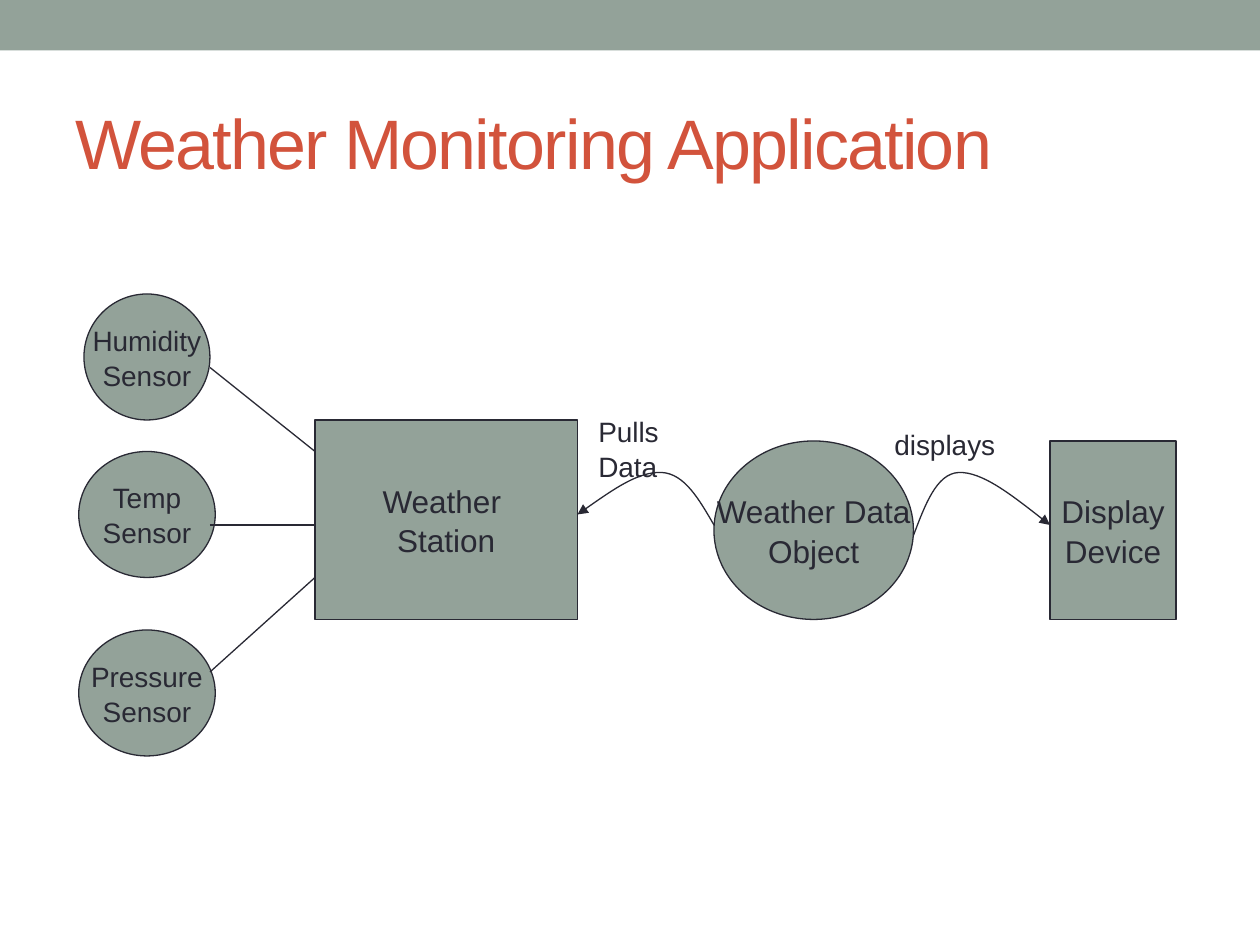
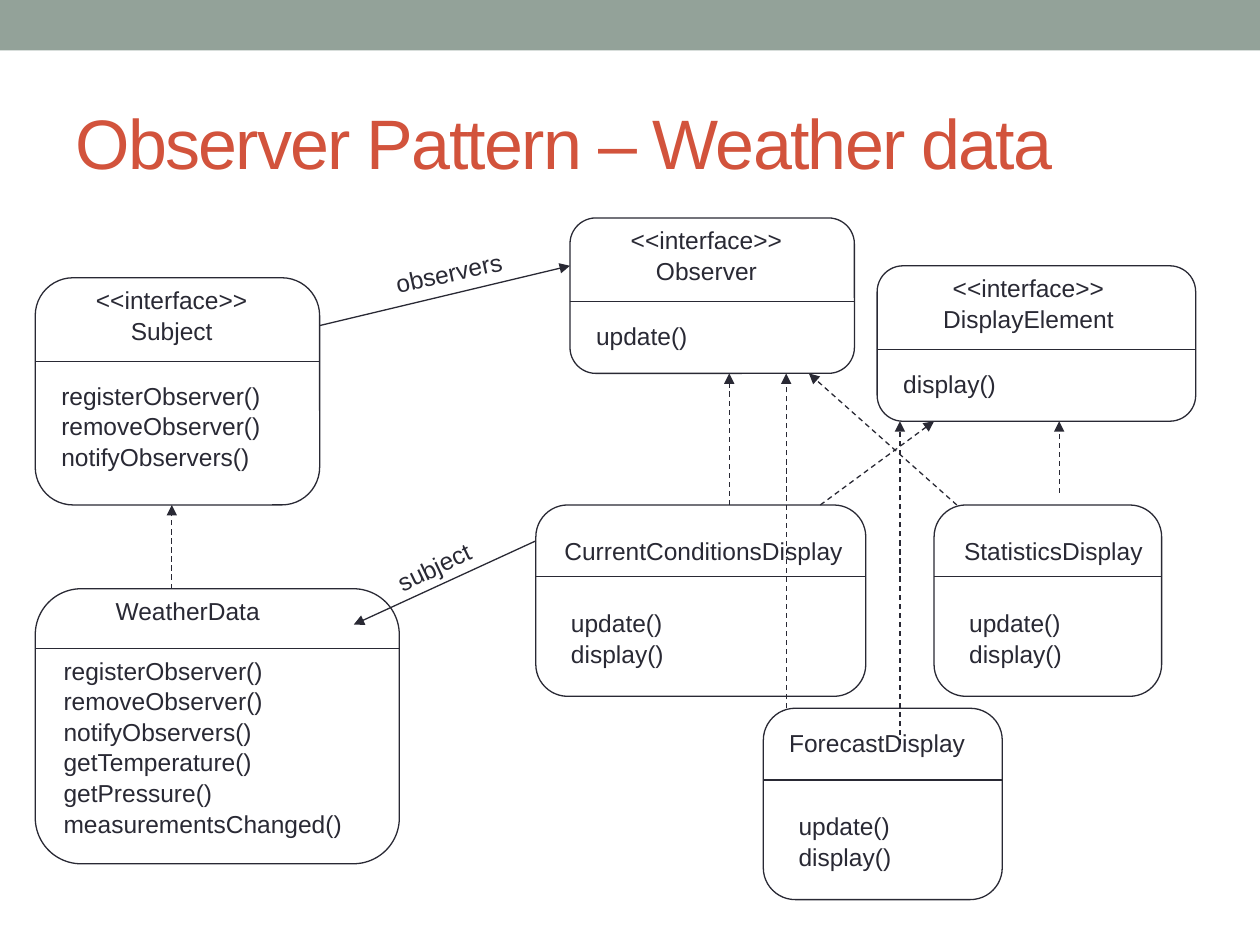
from dataclasses import dataclass

from pptx import Presentation
from pptx import util as u
from pptx.dml.color import RGBColor
from pptx.enum import dml, shapes, text
from pptx.oxml.ns import qn
from lxml import etree

SAGE = RGBColor(0x93, 0xA2, 0x99)
INK = RGBColor(0x29, 0x29, 0x34)
RUST = RGBColor(0xD2, 0x53, 0x3C)
FONT = "Arial"
WIDTH, HEIGHT = 10, 7.5
LINE_INCHES, INSET_INCHES = 0.24, 0.1


@dataclass
class Grid:
    left: float
    top: float
    column: float
    row: float

    def point(self, column, row):
        return (u.Inches(self.left + column * self.column),
                u.Inches(self.top + row * self.row))

    def box(self, column, row, columns, rows):
        return (*self.point(column, row),
                u.Inches(columns * self.column), u.Inches(rows * self.row))


FLOW = Grid(0, 0, WIDTH / 120, HEIGHT / 90)
UML = Grid(0.28, 1.73, (9.49 - 0.28) / 102, (7.14 - 1.73) / 57)


def add_run(paragraph, words, size, color=INK):
    run = paragraph.add_run()
    run.text = words
    run.font.name = FONT
    run.font.size = u.Pt(size)
    run.font.color.rgb = color
    return run


def write_lines(frame, lines, size, align):
    for index, words in enumerate(lines):
        paragraph = frame.add_paragraph() if index else frame.paragraphs[0]
        paragraph.alignment = align
        paragraph.line_spacing = 1.04
        add_run(paragraph, words, size)


def draw_line(line, dashed=False, arrow=False):
    line.color.rgb = INK
    line.width = u.Pt(0.75)
    if dashed:
        line.dash_style = dml.MSO_LINE.DASH
    if arrow:
        etree.SubElement(line._get_or_add_ln(), qn("a:tailEnd"), type="triangle")


def add_link(slide, grid, start, end, dashed=False, arrow=False):
    link = slide.shapes.add_connector(
        shapes.MSO_CONNECTOR.STRAIGHT, *grid.point(*start), *grid.point(*end))
    draw_line(link.line, dashed, arrow)
    etree.SubElement(link.element.spPr, qn("a:effectLst"))


def add_curve(slide, grid, points):
    start, *rest = [grid.point(*point) for point in points]
    builder = slide.shapes.build_freeform(*start)
    builder.add_line_segments(rest, close=False)
    curve = builder.convert_to_shape()
    curve.shadow.inherit = False
    curve.fill.background()
    draw_line(curve.line, arrow=True)
    outline = curve.element.find(".//" + qn("a:path"))
    segments = outline.findall(qn("a:lnTo"))
    for first in range(0, len(segments), 3):
        bezier = etree.SubElement(outline, qn("a:cubicBezTo"))
        for segment in segments[first:first + 3]:
            bezier.append(segment[0])
            outline.remove(segment)


def add_node(slide, kind, place, lines, size):
    node = slide.shapes.add_shape(kind, *FLOW.box(*place))
    node.shadow.inherit = False
    node.fill.solid()
    node.fill.fore_color.rgb = SAGE
    draw_line(node.line)
    frame = node.text_frame
    frame.word_wrap = False
    frame.vertical_anchor = text.MSO_ANCHOR.MIDDLE
    write_lines(frame, lines, size, text.PP_ALIGN.CENTER)


def add_label(slide, grid, place, lines, size=14, wrap=False,
              align=text.PP_ALIGN.LEFT, rotation=0):
    label = slide.shapes.add_textbox(*grid.box(*place))
    label.rotation = rotation
    frame = label.text_frame
    frame.word_wrap = wrap
    frame.auto_size = text.MSO_AUTO_SIZE.SHAPE_TO_FIT_TEXT
    write_lines(frame, lines, size, align)


def add_class(slide, place, divider, name, name_place, methods, method_place):
    column, row, columns, rows = place
    outline = slide.shapes.add_shape(shapes.MSO_SHAPE.ROUNDED_RECTANGLE, *UML.box(*place))
    outline.shadow.inherit = False
    outline.fill.background()
    draw_line(outline.line)
    add_link(slide, UML, (column, row + divider), (column + columns, row + divider))

    def add_part(lines, shift, down, span, align):
        depth = (INSET_INCHES + LINE_INCHES * len(lines)) / UML.row
        add_label(slide, UML, (column + shift, row + down, span, depth),
                  lines, wrap=True, align=align)

    add_part(name, *name_place, text.PP_ALIGN.CENTER)
    shift, down = method_place
    add_part(methods, shift, divider + down, columns - shift, text.PP_ALIGN.LEFT)


def add_interface(slide, place, name, name_place, methods):
    add_class(slide, place, 7, ["<<interface>>", name], name_place, methods, (1.2, 1))


def add_display(slide, place, name, name_place):
    add_class(slide, place, 6, [name], name_place, ["update()", "display()"], (2, 2))


def add_band(deck, slide):
    band = slide.shapes.add_shape(shapes.MSO_SHAPE.RECTANGLE, 0, 0,
                                  deck.slide_width, u.Inches(0.4))
    band.shadow.inherit = False
    band.fill.solid()
    band.fill.fore_color.rgb = SAGE
    band.line.fill.background()
    band.element.nvSpPr.cNvPr.set("id", "20")
    deck.slide_master.shapes.element.insert(2, band.element)


def add_titled_slide(deck, words):
    slide = deck.slides.add_slide(deck.slide_layouts[5])
    title = slide.shapes.title
    title.left, title.top = u.Inches(0.5), u.Inches(0.58)
    title.width, title.height = u.Inches(9), u.Inches(1.08)
    title.text_frame.vertical_anchor = text.MSO_ANCHOR.MIDDLE
    paragraph = title.text_frame.paragraphs[0]
    paragraph.alignment = text.PP_ALIGN.LEFT
    run = add_run(paragraph, words, 40, RUST)
    run.font._element.set("spc", "-100")
    return slide


def fill_application(slide):
    oval, box = shapes.MSO_SHAPE.OVAL, shapes.MSO_SHAPE.RECTANGLE
    add_node(slide, box, (30, 40, 25, 19), ["Weather ", "Station"], 18)
    for quantity, place in (("Humidity", (8, 28, 12, 12)),
                            ("Temp", (7.5, 43, 13, 12)),
                            ("Pressure", (7.5, 60, 13, 12))):
        add_node(slide, oval, place, [quantity, "Sensor"], 16)
    for sensor_row, station_row in ((35, 43), (50, 50), (64, 55)):
        add_link(slide, FLOW, (20, sensor_row), (30, station_row))
    add_node(slide, oval, (68, 42, 19, 17), ["Weather Data", "Object"], 18)
    add_node(slide, box, (100, 42, 12, 17), ["Display", "Device"], 18)
    add_curve(slide, FLOW, [(68, 50), (66.6, 47.6), (65.2, 45.1), (63, 45),
                            (60.8, 44.9), (58, 46.9), (55, 49)])
    add_curve(slide, FLOW, [(87, 51), (88.1, 48.1), (89.2, 45.1), (91.3, 45),
                            (93.5, 44.9), (96.7, 47.4), (100, 50)])
    add_label(slide, FLOW, (55.8, 38.8, 8.2, 7.7), ["Pulls", "Data"], 16)
    add_label(slide, FLOW, (84, 40, 12, 4.4), ["displays"], 16)


def fill_pattern(slide):
    subject_methods = ["registerObserver()", "removeObserver()", "notifyObservers()"]
    add_interface(slide, (0, 5, 25, 19), "Subject", (3, 0, 18), subject_methods)
    add_interface(slide, (47, 0, 25, 13), "Observer", (3, 0, 18), ["update()"])
    add_interface(slide, (74, 4, 28, 13), "DisplayElement", (3.3, 0, 20), ["display()"])
    add_class(slide, (0, 31, 32, 23), 5, ["WeatherData"], (3.4, 0, 20),
              subject_methods + ["getTemperature()", "getPressure()",
                                 "measurementsChanged()"], (1.4, 0))
    add_display(slide, (44, 24, 29, 16), "CurrentConditionsDisplay", (0, 2, 29.5))
    add_display(slide, (79, 24, 20, 16), "StatisticsDisplay", (0, 2, 21))
    add_display(slide, (64, 41, 21, 16), "ForecastDisplay", (0, 1, 20))

    for start, end in (((25, 9), (47, 4)), ((44, 27), (28, 34))):
        add_link(slide, UML, start, end, arrow=True)
    add_label(slide, UML, (30.5, 2.7, 11.7, 3.6), ["observers"], rotation=347.5)
    add_label(slide, UML, (30.5, 27.3, 9.1, 3.6), ["subject"], rotation=334.5)

    for start, end in (((12, 31), (12, 24)), ((61, 24), (61, 13)),
                       ((66, 41), (66, 13)), ((81, 24), (68, 13)),
                       ((90, 23), (90, 17)), ((69, 24), (79, 17)),
                       ((76, 44), (76, 17))):
        add_link(slide, UML, start, end, dashed=True, arrow=True)


def main():
    deck = Presentation()
    deck.slide_width, deck.slide_height = u.Inches(WIDTH), u.Inches(HEIGHT)
    application = add_titled_slide(deck, "Weather Monitoring Application")
    add_band(deck, application)
    fill_application(application)
    fill_pattern(add_titled_slide(deck, "Observer Pattern – Weather data"))
    deck.save("out.pptx")


if __name__ == "__main__":
    main()
